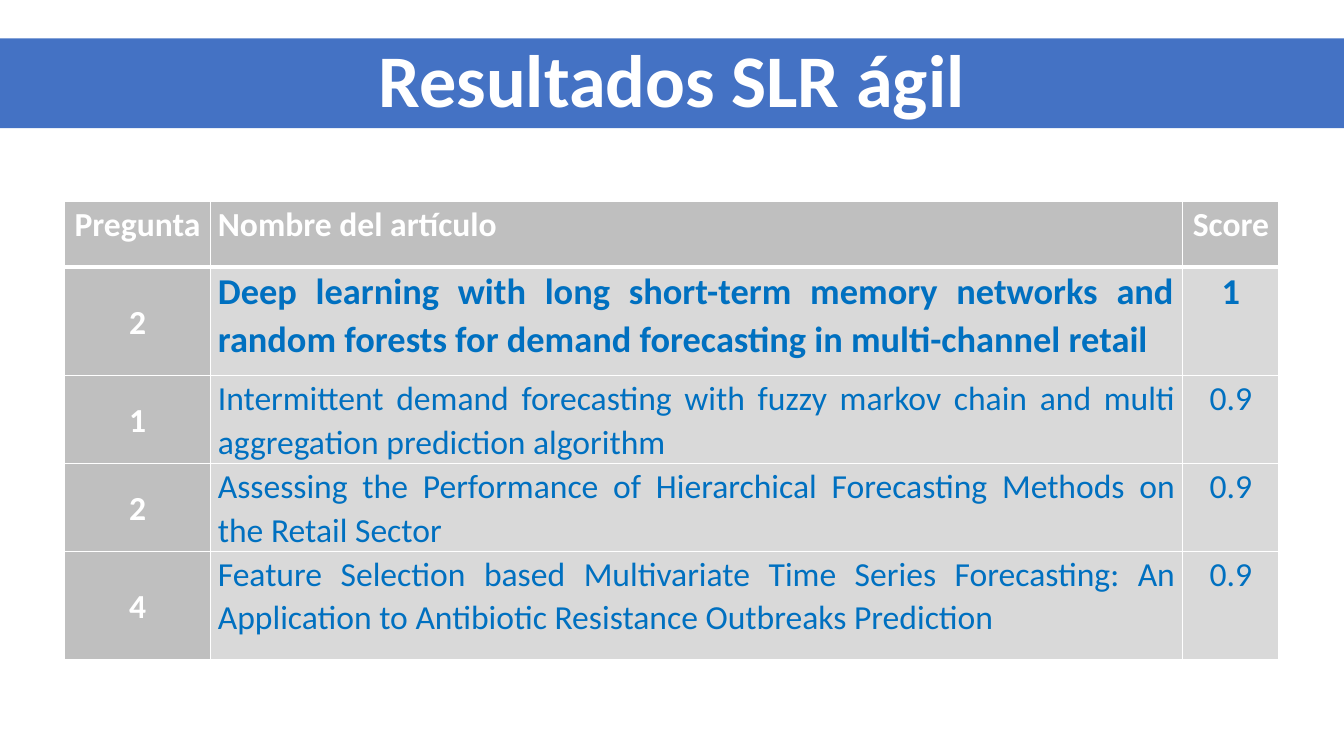
"""Build the slide with the scored results of the agile SLR."""
from lxml import etree
from pptx import Presentation
from pptx import util as u
from pptx.dml.color import RGBColor
from pptx.enum import shapes, text
from pptx.oxml.ns import qn

COLORS = {"band": "4472C4", "white": "FFFFFF", "head": "BFBFBF", "body": "D9D9D9", "blue": "0070C0"}
COL_WIDTHS = [3.67, 24.51, 2.42]
ROW_HEIGHTS = [1.65, 2.74, 2.2, 2.2, 2.74]
ROWS = [
    ("Pregunta", "Nombre del artículo", "Score"),
    ("2", "Deep learning with long short-term memory networks and random forests "
          "for demand forecasting in multi-channel retail", "1"),
    ("1", "Intermittent demand forecasting with fuzzy markov chain and multi "
          "aggregation prediction algorithm", "0.9"),
    ("2", "Assessing the Performance of Hierarchical Forecasting Methods on the Retail Sector", "0.9"),
    ("4", "Feature Selection based Multivariate Time Series Forecasting: An Application "
          "to Antibiotic Resistance Outbreaks Prediction", "0.9"),
]


def write(tf, words, size, color, bold, align, spacing):
    """Put one formatted run into the first paragraph."""
    p = tf.paragraphs[0]
    p.alignment = align
    p.line_spacing = spacing
    r = p.add_run()
    r.text = words
    r.font.name = "Calibri"
    r.font.size = u.Pt(size)
    r.font.bold = bold
    r.font.color.rgb = RGBColor.from_string(COLORS[color])


def add_border(cell, side, width):
    """Draw one white edge of a cell."""
    ln = etree.SubElement(cell._tc.get_or_add_tcPr(), qn(f"a:ln{side}"), w=str(u.Pt(width)))
    fill = etree.SubElement(ln, qn("a:solidFill"))
    etree.SubElement(fill, qn("a:srgbClr"), val=COLORS["white"])


prs = Presentation()
prs.slide_width, prs.slide_height = u.Cm(33.87), u.Cm(19.05)
s = prs.slides.add_slide(prs.slide_layouts[6])

sp = s.shapes.add_shape(shapes.MSO_SHAPE.RECTANGLE, 0, u.Cm(0.97), prs.slide_width, u.Cm(2.26))
sp.shadow.inherit = False
sp.fill.solid()
sp.fill.fore_color.rgb = RGBColor.from_string(COLORS["band"])
sp.line.fill.background()
tf = sp.text_frame
tf.word_wrap = True
tf.vertical_anchor = text.MSO_ANCHOR.MIDDLE
write(tf, "Resultados SLR ágil", 53, "white", True, text.PP_ALIGN.CENTER, 0.9)

table = s.shapes.add_table(len(ROWS), len(COL_WIDTHS), u.Cm(1.63), u.Cm(5.08),
                           u.Cm(sum(COL_WIDTHS)), u.Cm(sum(ROW_HEIGHTS))).table
for column, width in zip(table.columns, COL_WIDTHS):
    column.width = u.Cm(width)
for row, height in zip(table.rows, ROW_HEIGHTS):
    row.height = u.Cm(height)

for i, values in enumerate(ROWS):
    for j, value in enumerate(values):
        cell = table.cell(i, j)
        header = i == 0 or j == 0
        best = i == 1 and j > 0
        cell.margin_left = cell.margin_right = u.Cm(0.19)
        cell.margin_top = cell.margin_bottom = 0
        if i > 0 and j == 0:
            cell.vertical_anchor = text.MSO_ANCHOR.MIDDLE
        for side in "LRTB":
            thick = (i, side) in ((0, "B"), (1, "T"))
            add_border(cell, side, 3 if thick else 1)
        cell.fill.solid()
        cell.fill.fore_color.rgb = RGBColor.from_string(COLORS["head" if header else "body"])
        if j != 1:
            align = text.PP_ALIGN.CENTER
        else:
            align = text.PP_ALIGN.LEFT if i == 0 else text.PP_ALIGN.JUSTIFY
        write(cell.text_frame, value, 26 if best else 24, "white" if header else "blue",
              header or best, align, 1.07)

prs.save("out.pptx")
